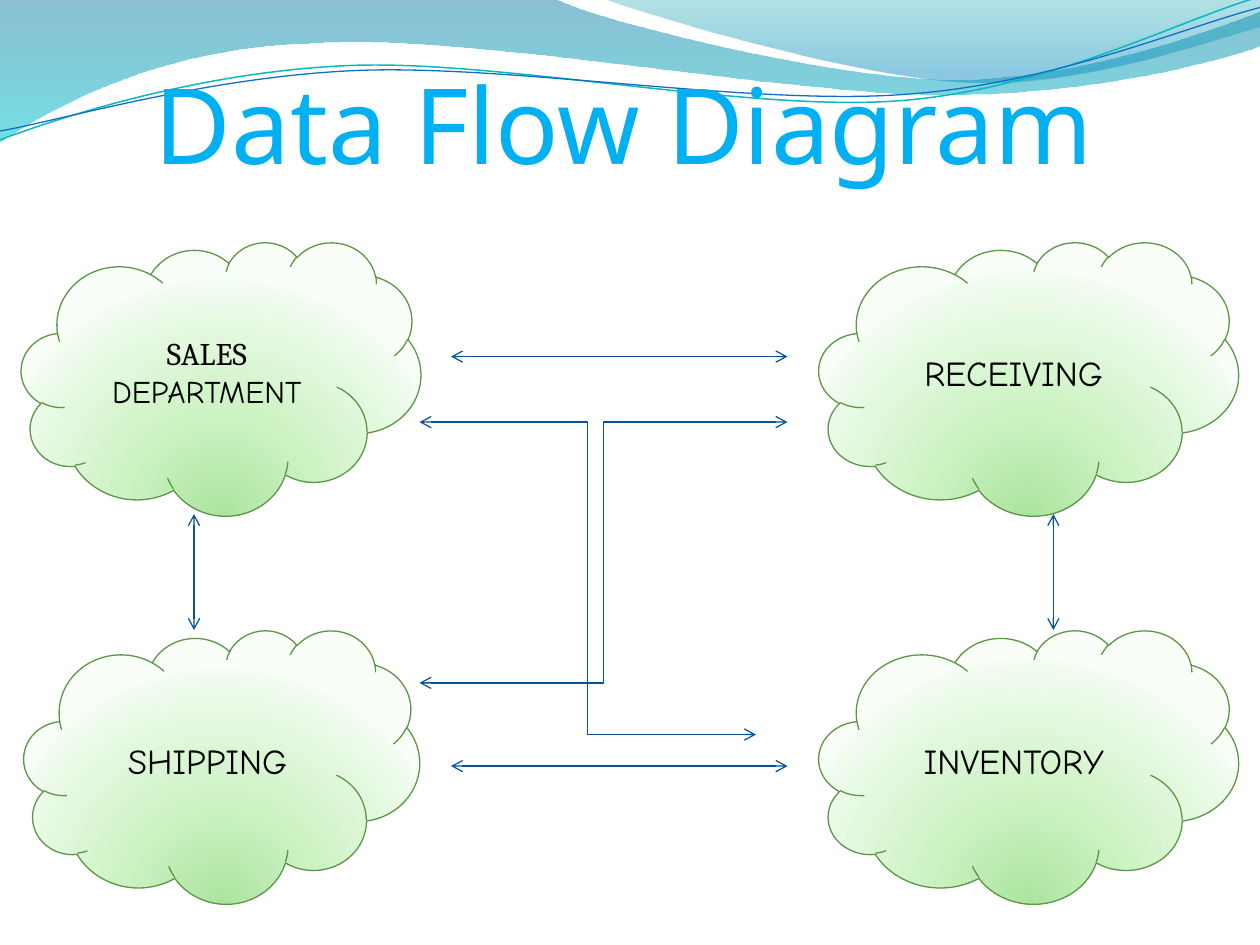
import math

from lxml import etree
from pptx import Presentation
from pptx.dml.color import RGBColor
from pptx.enum import shapes, text
from pptx.oxml import ns
from pptx.util import Inches, Pt

# Each outline: a start, then one point for a line or three for a curve
WAVE_BACK = [[(0, 0)], [(4.4, -0.01)],
             [(4.76, 0.17), (6.64, 0.63), (7.58, 0.63)],
             [(8.53, 0.63), (9.58, 0.26), (10, 0.09)], [(10.01, 0.36)],
             [(9.83, 0.44), (8.7, 0.76), (7.46, 0.75)],
             [(6.22, 0.75), (3.82, 0.28), (2.57, 0.34)],
             [(1.29, 0.36), (0.46, 0.83), (-0.01, 1.13)], [(0, 0)]]
WAVE_FRONT = [[(4.79, -0.01)],
              [(5.09, 0.11), (6.82, 0.62), (7.69, 0.65)],
              [(8.56, 0.69), (9.61, 0.32), (10, 0.21)],
              [(10, 0)], [(4.79, -0.01)]]
TEAL_STRAND = [[(0, 1.11)],
               [(0.48, 0.93), (1.58, 0.57), (2.77, 0.52)],
               [(3.95, 0.47), (5.93, 0.89), (7.13, 0.8)],
               [(8.33, 0.71), (9.38, 0.15), (9.98, -0.02)]]
BLUE_STRAND = [[(0, 1.04)],
               [(0.47, 0.96), (1.64, 0.61), (2.83, 0.56)],
               [(4.03, 0.51), (5.97, 0.84), (7.17, 0.75)],
               [(8.36, 0.67), (9.41, 0.21), (10, 0.06)]]
STRAND_TILT = -2.7

CLOUD_STOPS = [(0, "ACE49F", 100), (43, "CDF3C4", 100),
               (93, "EFFBED", 100), (100, "F9FFF8", 100)]
SALES = [("SALES", "Cambria", 18), ("DEPARTMENT", "Comic Neue", 18)]
CLOUDS = [  # left, top, width, lines of text
    (0.17, 1.92, 3.17, SALES),
    (0.19, 5, 3.14, [("SHIPPING", "Comic Neue", 20)]),
    (6.5, 1.92, 3.33, [("RECEIVING", "Comic Neue", 20)]),
    (6.5, 5, 3.33, [("INVENTORY", "Comic Neue", 20)]),
]
STRAIGHT, ELBOW = shapes.MSO_CONNECTOR.STRAIGHT, shapes.MSO_CONNECTOR.ELBOW
FLOWS = [  # kind, from, to
    (STRAIGHT, (3.58, 2.83), (6.25, 2.83)),
    (STRAIGHT, (3.58, 6.08), (6.25, 6.08)),
    (STRAIGHT, (1.54, 4.08), (1.54, 5)),
    (STRAIGHT, (8.36, 4.08), (8.36, 5)),
    (ELBOW, (6.25, 3.35), (3.33, 5.42)),
    (ELBOW, (3.33, 3.35), (6, 5.83)),
]


def rgb(value):
    return RGBColor.from_string(value)


def sub(parent, tag, **attributes):
    return etree.SubElement(parent, ns.qn(tag), attributes)


def set_line(shape, color, width):
    shape.line.color.rgb = rgb(color)
    shape.line.width = Pt(width)


def set_gradient(shape, stops, radial=False):
    shape.fill.background()
    no_fill = shape._element.spPr.find(ns.qn("a:noFill"))
    gradient = etree.Element(ns.qn("a:gradFill"), rotWithShape="1")
    stop_list = sub(gradient, "a:gsLst")
    for position, color, opacity in stops:
        stop = sub(stop_list, "a:gs", pos=str(position * 1000))
        value = sub(stop, "a:srgbClr", val=color)
        if opacity < 100:
            sub(value, "a:alpha", val=str(opacity * 1000))
    if radial:
        circle = sub(gradient, "a:path", path="circle")
        sub(circle, "a:fillToRect", l="50000", t="130000", r="50000", b="-30000")
    else:
        sub(gradient, "a:lin", ang="5400000", scaled="1")
    no_fill.getparent().replace(no_fill, gradient)


def add_outline(slide, outline, close):
    corners = [(Inches(x), Inches(y)) for segment in outline for x, y in segment]
    builder = slide.shapes.build_freeform(*corners[0], scale=1.0)
    builder.add_line_segments(corners[1:], close=close)
    shape = builder.convert_to_shape()
    shape.shadow.inherit = False
    # Join each three points of a curve into one Bezier segment
    lines = iter(list(shape._element.iter(ns.qn("a:lnTo"))))
    for segment in outline[1:]:
        group = [next(lines) for _ in segment]
        if len(group) == 3:
            curve = etree.Element(ns.qn("a:cubicBezTo"))
            group[0].addprevious(curve)
            for line in group:
                curve.append(line[0])
                line.getparent().remove(line)
    return shape


def add_wave(slide, outline, stops):
    wave = add_outline(slide, outline, True)
    set_gradient(wave, stops)
    wave.line.fill.background()


def turn(point, center, degrees):
    dx, dy = point[0] - center[0], point[1] - center[1]
    cos, sin = math.cos(math.radians(degrees)), math.sin(math.radians(degrees))
    return center[0] + dx * cos - dy * sin, center[1] + dx * sin + dy * cos


def add_strand(slide, outline, center, color, width):
    level = [[turn(point, center, -STRAND_TILT) for point in segment]
             for segment in outline]
    strand = add_outline(slide, level, False)
    strand.rotation = STRAND_TILT
    strand.fill.background()
    set_line(strand, color, width)


def add_run(paragraph, words, font, size, color):
    run = paragraph.add_run()
    run.text = words
    run.font.name = font
    run.font.size = Pt(size)
    run.font.color.rgb = rgb(color)
    return run


def set_title(slide):
    title = slide.shapes.title
    title.left, title.top = Inches(0.24), Inches(0.42)
    title.width, title.height = Inches(9.42), Inches(1.11)
    frame = title.text_frame
    frame.word_wrap = False
    frame.auto_size = text.MSO_AUTO_SIZE.SHAPE_TO_FIT_TEXT
    frame.vertical_anchor = text.MSO_ANCHOR.TOP
    frame.paragraphs[0].alignment = text.PP_ALIGN.CENTER
    run = add_run(frame.paragraphs[0], "Data Flow Diagram", "Noto Sans", 60, "00B0F0")
    # White letter outline
    edge = etree.Element(ns.qn("a:ln"), w=str(Pt(1.45)))
    sub(sub(edge, "a:solidFill"), "a:srgbClr", val="FFFFFF")
    run.font._element.insert(0, edge)
    # Title in front of the waves
    title._element.getparent().append(title._element)


def add_cloud(slide, left, top, width, lines):
    cloud = slide.shapes.add_shape(shapes.MSO_SHAPE.CLOUD, Inches(left), Inches(top),
                                   Inches(width), Inches(2.17))
    cloud.shadow.inherit = False
    set_gradient(cloud, CLOUD_STOPS, radial=True)
    set_line(cloud, "5B9747", 0.75)
    frame = cloud.text_frame
    frame.word_wrap = True
    frame.vertical_anchor = text.MSO_ANCHOR.MIDDLE
    for index, (words, font, size) in enumerate(lines):
        paragraph = frame.add_paragraph() if index else frame.paragraphs[0]
        paragraph.alignment = text.PP_ALIGN.CENTER
        add_run(paragraph, words, font, size, "000000")


def add_flow(slide, kind, start, end):
    ends = [Inches(value) for value in start + end]
    flow = slide.shapes.add_connector(kind, *ends)
    set_line(flow, "095295", 0.75)
    line = flow._element.spPr.find(ns.qn("a:ln"))
    sub(line, "a:headEnd", type="arrow")
    sub(line, "a:tailEnd", type="arrow")
    sub(flow._element.spPr, "a:effectLst")


def main():
    deck = Presentation()
    deck.slide_width, deck.slide_height = Inches(10), Inches(7.5)
    slide = deck.slides.add_slide(deck.slide_layouts[5])

    # Wave header
    add_wave(slide, WAVE_BACK, [(0, "0074A1", 45), (100, "00C6CF", 55)])
    add_wave(slide, WAVE_FRONT, [(0, "00A1A9", 30), (80, "008BBF", 45)])
    add_strand(slide, TEAL_STRAND, (4.99, 0.57), "0AB8BF", 0.85)
    add_strand(slide, BLUE_STRAND, (5, 0.59), "0F6FC6", 0.75)
    set_title(slide)

    # Departments and the flows between them
    for cloud in CLOUDS:
        add_cloud(slide, *cloud)
    for flow in FLOWS:
        add_flow(slide, *flow)

    deck.save("out.pptx")


main()
